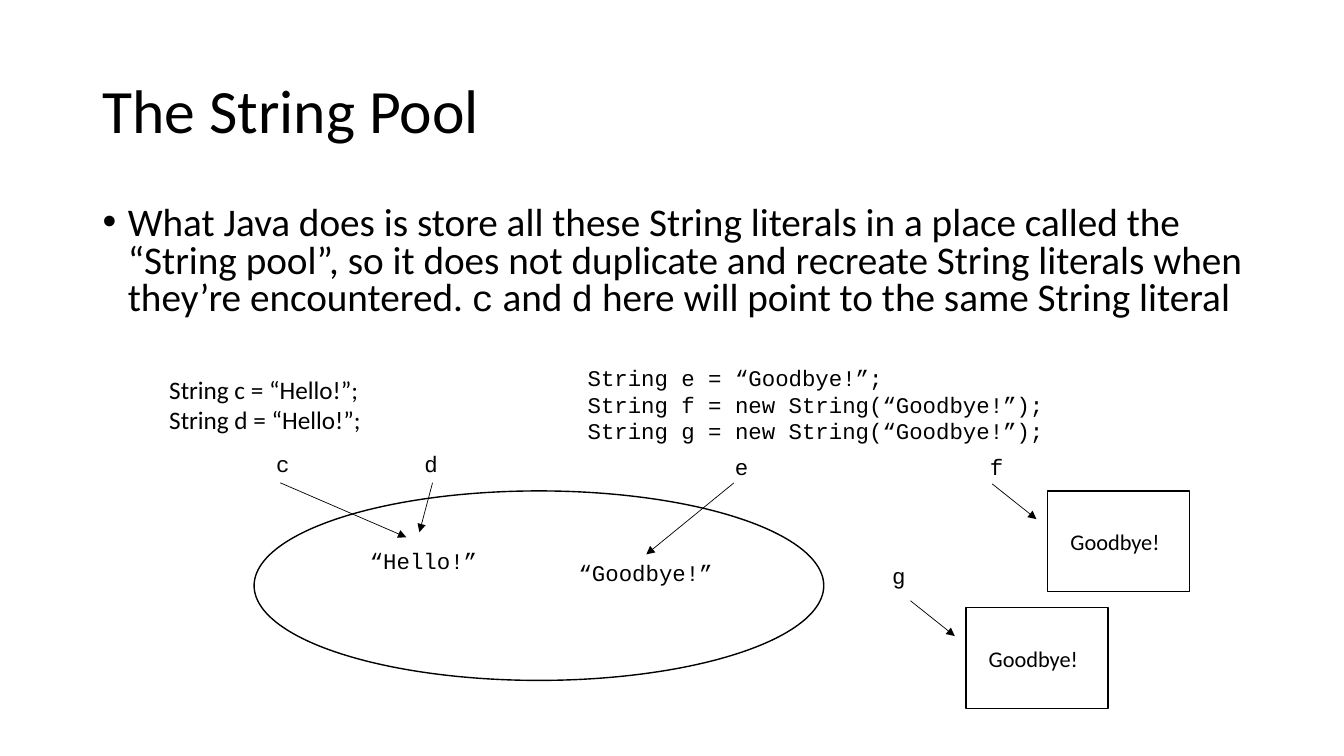
from lxml import etree
from pptx import Presentation
from pptx import util as u
from pptx.dml.color import RGBColor
from pptx.enum import shapes, text
from pptx.oxml.ns import qn

PX = 9144
COLORS = {"ink": "000000"}
INK = RGBColor.from_string(COLORS["ink"])
SANS, MONO = "Calibri", "Courier New"

deck = Presentation()
deck.slide_width, deck.slide_height = 1333 * PX, 750 * PX
slide = deck.slides.add_slide(deck.slide_layouts[6])


def write(frame, lines, **paragraph_format):
    for number, runs in enumerate(lines):
        paragraph = frame.paragraphs[0] if number == 0 else frame.add_paragraph()
        for key, value in paragraph_format.items():
            setattr(paragraph, key, value)
        for words, font, size in runs:
            run = paragraph.add_run()
            run.text = words
            for key, value in {"name": font, "size": u.Pt(size)}.items():
                setattr(run.font, key, value)
            run.font.color.rgb = INK
    return frame.paragraphs[0]


def add_text(box, lines, wrap=False, anchor=text.MSO_ANCHOR.TOP, **paragraph_format):
    frame = slide.shapes.add_textbox(*(n * PX for n in box)).text_frame
    frame.word_wrap = wrap
    frame.vertical_anchor = anchor
    return write(frame, lines, **paragraph_format)


add_text((92, 40, 1150, 145), [[("The String Pool", SANS, 44)]],
         wrap=True, anchor=text.MSO_ANCHOR.MIDDLE, line_spacing=0.9)

explanation = add_text((92, 200, 1150, 167), [[
    ("What Java does is store all these String literals in a place called the “String pool”, "
     "so it does not duplicate and recreate String literals when they’re encountered. ", SANS, 28),
    ("c", MONO, 26),
    (" and ", SANS, 28),
    ("d", MONO, 26),
    (" here will point to the same String literal", SANS, 28),
]], wrap=True, line_spacing=0.8, space_before=u.Pt(10))
indent = explanation._p.get_or_add_pPr()
indent.set("marL", str(25 * PX))
indent.set("indent", str(-25 * PX))
etree.SubElement(indent, qn("a:buFont")).set("typeface", "Arial")
etree.SubElement(indent, qn("a:buChar")).set("char", "•")

add_text((158, 366, 315, 71),
         [[(line, SANS, 18)] for line in ("String c = “Hello!”;", "String d = “Hello!”;")], wrap=True)
add_text((573, 356, 479, 91), [[(line, MONO, 16)] for line in (
    "String e = “Goodbye!”;",
    "String f = new String(“Goodbye!”);",
    "String g = new String(“Goodbye!”);",
)])

RECT, OVAL = shapes.MSO_SHAPE.RECTANGLE, shapes.MSO_SHAPE.OVAL
for kind, box, content in (
    (OVAL, (252, 487, 565, 188), None),
    (RECT, (1039, 487, 141, 100), "Goodbye!"),
    (RECT, (958, 603, 141, 100), "Goodbye!"),
):
    holder = slide.shapes.add_shape(kind, *(n * PX for n in box))
    holder.shadow.inherit = False
    holder.fill.background()
    holder.line.color.rgb = INK
    holder.line.width = u.Pt(1)
    if content:
        holder.text_frame.margin_right = 17 * PX
        holder.text_frame.vertical_anchor = text.MSO_ANCHOR.MIDDLE
        write(holder.text_frame, [[(content, SANS, 16)]], alignment=text.PP_ALIGN.CENTER)

for label, left, top, width in (
    ("“Hello!”", 357, 538, 128),
    ("“Goodbye!”", 564, 550, 155),
    ("c", 264, 442, 34),
    ("d", 411, 442, 34),
    ("e", 719, 445, 34),
    ("f", 972, 445, 34),
    ("g", 875, 553, 34),
):
    add_text((left, top, width, 37), [[(label, MONO, 16)]])

for reference in (
    (278, 479, 403, 533),
    (429, 479, 416, 528),
    (728, 479, 641, 550),
    (984, 480, 1028, 515),
    (903, 596, 947, 631),
):
    arrow = slide.shapes.add_connector(shapes.MSO_CONNECTOR.STRAIGHT, *(n * PX for n in reference))
    arrow.line.color.rgb = INK
    arrow.line.width = u.Pt(0.5)
    etree.SubElement(arrow.line._get_or_add_ln(), qn("a:tailEnd")).set("type", "triangle")
    etree.SubElement(arrow._element.spPr, qn("a:effectLst"))

deck.save("out.pptx")
